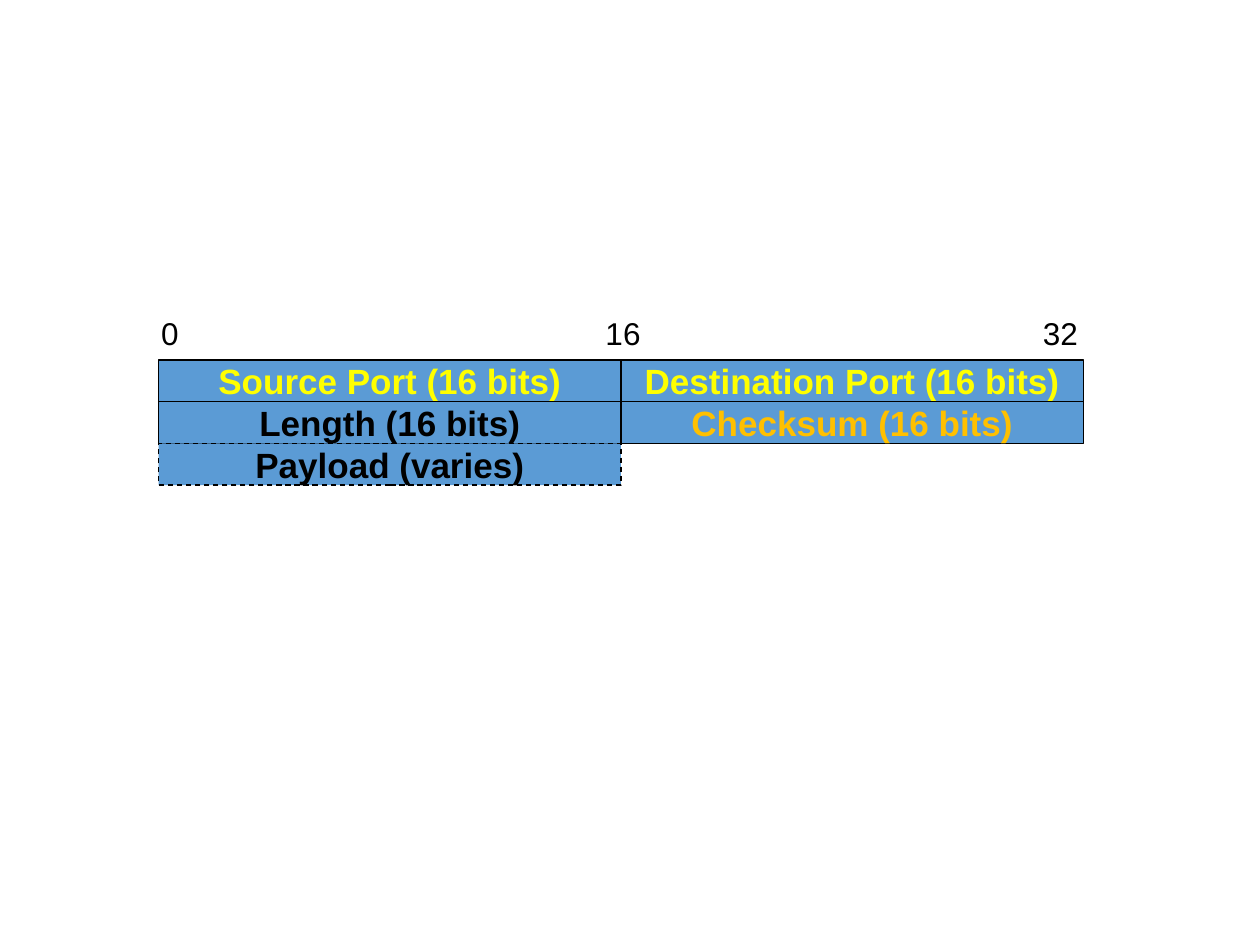
"""Build a slide showing the layout of a UDP header with its bit ruler."""
from lxml import etree
from pptx import Presentation
from pptx.dml.color import RGBColor
from pptx.enum.dml import MSO_LINE
from pptx.enum.shapes import MSO_SHAPE
from pptx.enum.text import MSO_ANCHOR, PP_ALIGN
from pptx.oxml.ns import qn
from pptx.util import Cm, Pt

RECT = MSO_SHAPE.RECTANGLE
DASH = MSO_LINE.DASH
SOLID = MSO_LINE.SOLID
MIDDLE = MSO_ANCHOR.MIDDLE
LEFT, CENTER = PP_ALIGN.LEFT, PP_ALIGN.CENTER

BLUE = RGBColor(0x5B, 0x9B, 0xD5)
BLACK = RGBColor(0, 0, 0)
YELLOW = RGBColor(0xFF, 0xFF, 0)
ORANGE = RGBColor(0xFF, 0xC0, 0)

ROWS = [
    [("Source Port (16 bits)", YELLOW, SOLID),
     ("Destination Port (16 bits)", YELLOW, SOLID)],
    [("Length (16 bits)", BLACK, SOLID),
     ("Checksum (16 bits)", ORANGE, SOLID)],
    [("Payload (varies)", BLACK, DASH)],
]
RULER = ["0", "16", "32"]
STOPS = [("ctr", Cm(9.31)), ("r", Cm(18.48))]

GRID_X, GRID_Y = Cm(3.2), Cm(7.26)
CELL_W, CELL_H = Cm(9.32), Cm(0.84)


def write(frame, text, size=18, color=BLACK, bold=False, align=LEFT,
          wrap=True, stops=()):
    frame.word_wrap = wrap
    para = frame.paragraphs[0]
    para.alignment = align
    if stops:
        tabs = etree.SubElement(para._p.get_or_add_pPr(), qn("a:tabLst"))
        for kind, pos in stops:
            etree.SubElement(tabs, qn("a:tab"), pos=str(pos), algn=kind)
    run = para.add_run()
    run.text = text
    font = run.font
    font.name, font.size, font.bold = "Arial", Pt(size), bold
    font.color.rgb = color


def add_field(slide, row, col, text, color, dash):
    box = slide.shapes.add_shape(
        RECT, GRID_X + col * CELL_W, GRID_Y + row * CELL_H, CELL_W, CELL_H)
    box.shadow.inherit = False
    box.fill.solid()
    box.fill.fore_color.rgb = BLUE
    box.line.color.rgb = BLACK
    box.line.width = Pt(0.75)
    box.line.dash_style = dash
    box.text_frame.vertical_anchor = MIDDLE
    write(box.text_frame, text, size=20, color=color, bold=True,
          align=CENTER, wrap=False)


def main():
    deck = Presentation()
    deck.slide_width, deck.slide_height = Cm(25.4), Cm(19.05)
    slide = deck.slides.add_slide(deck.slide_layouts[6])
    for row, fields in enumerate(ROWS):
        for col, field in enumerate(fields):
            add_field(slide, row, col, *field)
    ruler = slide.shapes.add_textbox(Cm(3), Cm(6.2), Cm(19.05), Cm(1.02))
    write(ruler.text_frame, "\t".join(RULER), stops=STOPS)
    deck.save("out.pptx")


if __name__ == "__main__":
    main()
